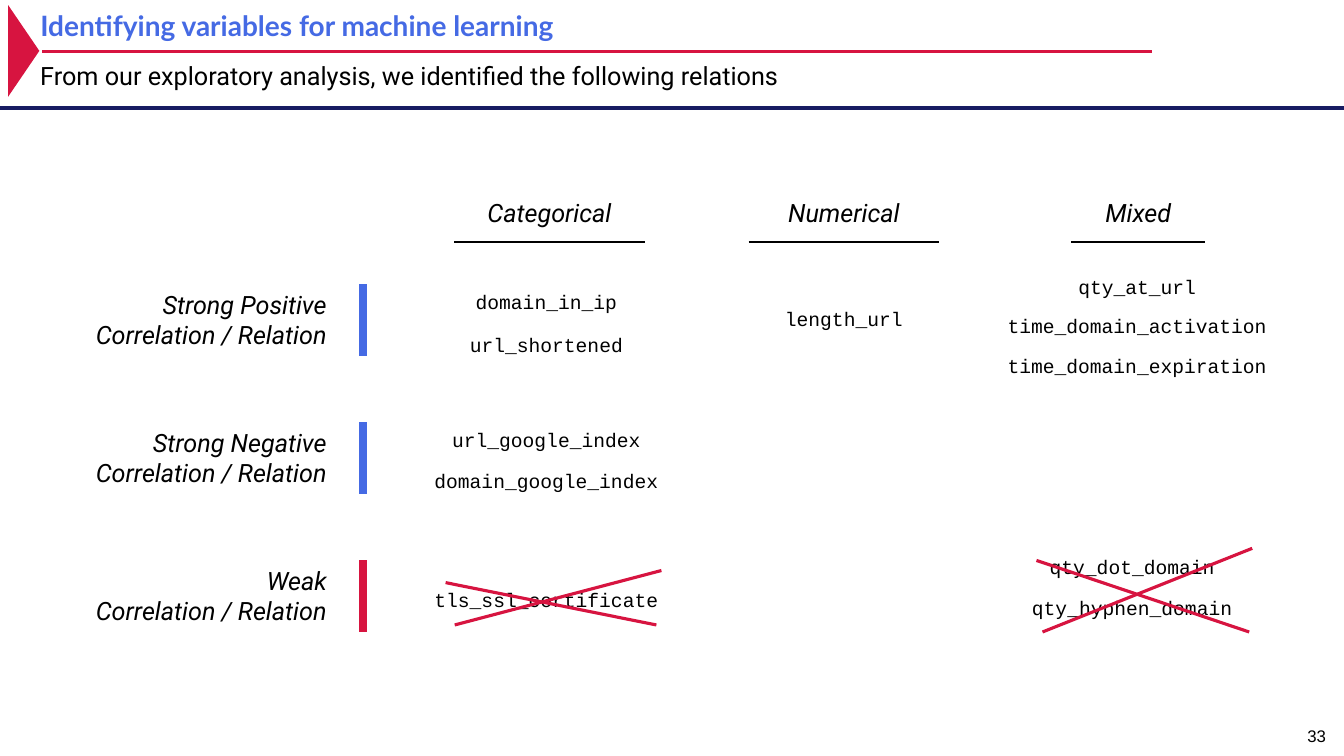
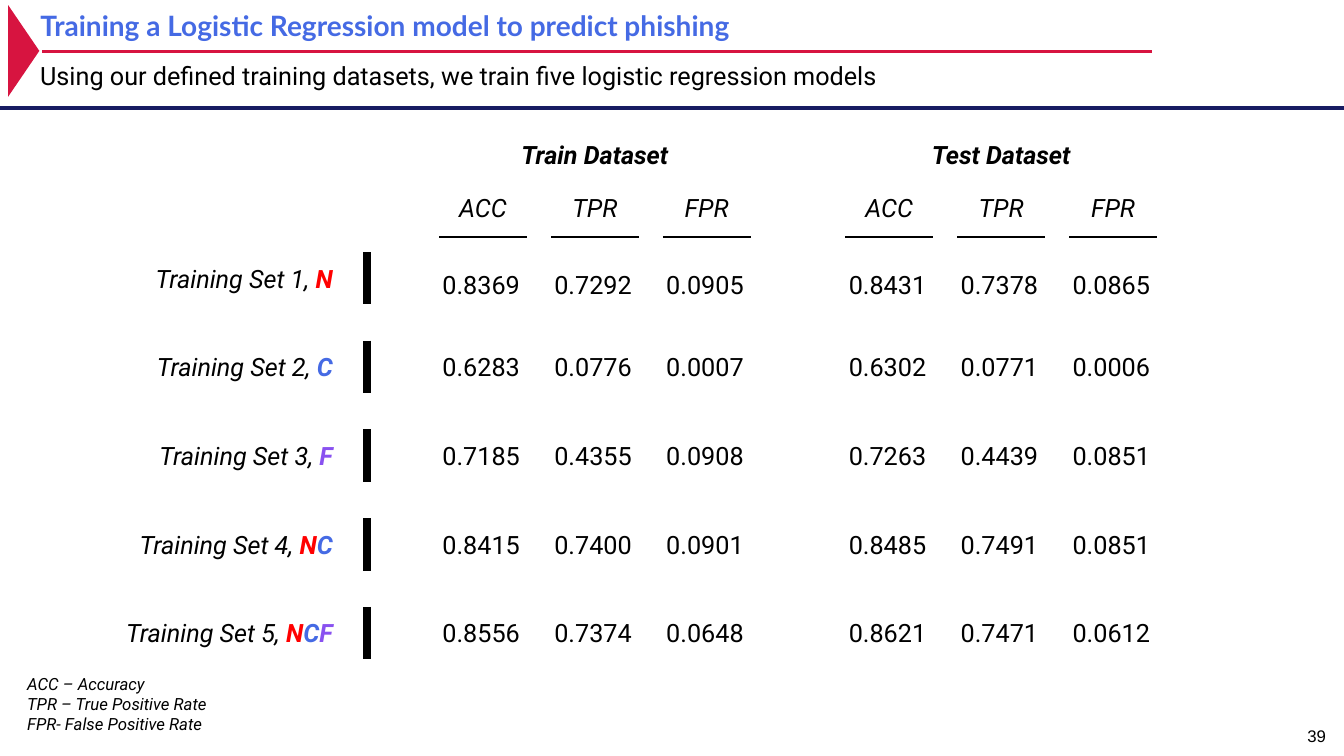
from dataclasses import dataclass

from lxml import etree
from pptx import Presentation
from pptx.dml.color import RGBColor
from pptx.enum.shapes import MSO_CONNECTOR, MSO_SHAPE
from pptx.enum.text import MSO_ANCHOR, MSO_AUTO_SIZE, PP_ALIGN
from pptx.oxml.ns import qn
from pptx.util import Inches, Pt


@dataclass(frozen=True)
class Theme:
    black: str = "000000"
    blue: str = "456AE4"
    crimson: str = "D71440"
    navy: str = "181C62"
    red: str = "FF0000"
    purple: str = "8951F0"
    title_font: str = "Lato"
    body_font: str = "Roboto"
    code_font: str = "Courier New"
    number_font: str = "Arial"
    title_size: int = 20
    body_size: int = 18
    code_size: int = 14
    note_size: int = 12
    bar_width: float = 6
    cross_width: float = 2.25
    rule_width: float = 1.5


THEME = Theme()

# Content: relations between variables and phishing
RELATIONS_TITLE = "Identifying variables for machine learning"
RELATIONS_LEAD = "From our exploratory analysis, we identified the following relations"
KINDS = [  # heading, centre, underline length
    ("Categorical", 5.45, 1.89),
    ("Numerical", 8.37, 1.89),
    ("Mixed", 11.29, 1.33),
]
STRENGTHS = [
    (["Strong Positive Correlation / Relation"], THEME.blue),
    (["Strong Negative Correlation / Relation"], THEME.blue),
    (["Weak", "Correlation / Relation"], THEME.crimson),
]
VARIABLES = [  # centre, top of first name, step, names
    (5.42, 2.83, 0.42, ["domain_in_ip", "url_shortened"]),
    (5.42, 4.2, 0.4, ["url_google_index", "domain_google_index"]),
    (5.42, 5.78, 0.4, ["tls_ssl_certificate"]),
    (8.37, 3, 0.4, ["length_url"]),
    (11.28, 2.68, 0.39,
     ["qty_at_url", "time_domain_activation", "time_domain_expiration"]),
    (11.23, 5.46, 0.4, ["qty_dot_domain", "qty_hyphen_domain"]),
]
CROSS_STROKES = [
    ((4.42, 5.78), (6.51, 6.2)),
    ((4.51, 6.2), (6.56, 5.66)),
    ((10.28, 5.56), (12.39, 6.27)),
    ((10.34, 6.27), (12.42, 5.44)),
]

# Content: results of the models
MODELS_TITLE = "Training a Logistic Regression model to predict phishing"
MODELS_LEAD = ("Using our defined training datasets, "
               "we train five logistic regression models")
METRICS = ["ACC", "TPR", "FPR"]
DATASETS = [("Train Dataset", 5.9), ("Test Dataset", 9.93)]  # heading, centre
FEATURE_COLORS = {"N": THEME.red, "C": THEME.blue, "F": THEME.purple}
RESULTS = [  # features, train values, test values
    ("N", ["0.8369", "0.7292", "0.0905"], ["0.8431", "0.7378", "0.0865"]),
    ("C", ["0.6283", "0.0776", "0.0007"], ["0.6302", "0.0771", "0.0006"]),
    ("F", ["0.7185", "0.4355", "0.0908"], ["0.7263", "0.4439", "0.0851"]),
    ("NC", ["0.8415", "0.7400", "0.0901"], ["0.8485", "0.7491", "0.0851"]),
    ("NCF", ["0.8556", "0.7374", "0.0648"], ["0.8621", "0.7471", "0.0612"]),
]
ABBREVIATIONS = [
    "ACC – Accuracy",
    "TPR – True Positive Rate",
    "FPR- False Positive Rate",
]


def style(paragraph, size, font, color=THEME.black, bold=False, italic=False,
          align=PP_ALIGN.LEFT):
    paragraph.alignment = align
    paragraph.font.size = Pt(size)
    paragraph.font.name = font
    paragraph.font.bold = bold
    paragraph.font.italic = italic
    paragraph.font.color.rgb = RGBColor.from_string(color)


def add_text(slide, lines, left, top, width, height=0.4, size=THEME.body_size,
             font=THEME.body_font, **look):
    """Write one paragraph per line and return the text frame."""
    frame = slide.shapes.add_textbox(
        Inches(left), Inches(top), Inches(width), Inches(height)).text_frame
    frame.word_wrap = True
    for index, line in enumerate(lines):
        paragraph = frame.add_paragraph() if index else frame.paragraphs[0]
        paragraph.text = line
        style(paragraph, size, font, **look)
    return frame


def add_centred(slide, words, centre, top, width=2.2, **look):
    add_text(slide, [words], centre - width / 2, top, width,
             align=PP_ALIGN.CENTER, **look)


def add_line(slide, start, end, color, width):
    line = slide.shapes.add_connector(
        MSO_CONNECTOR.STRAIGHT, *(Inches(value) for value in (*start, *end)))
    line.line.color.rgb = RGBColor.from_string(color)
    line.line.width = Pt(width)
    etree.SubElement(line.element.spPr, qn("a:effectLst"))


def add_underline(slide, centre, y, length):
    add_line(slide, (centre - length / 2, y), (centre + length / 2, y),
             THEME.black, THEME.rule_width)


def add_bar(slide, x, top, height, color):
    add_line(slide, (x, top), (x, top + height), color, THEME.bar_width)


def centre_heading(frame):
    frame.vertical_anchor = MSO_ANCHOR.MIDDLE
    frame.paragraphs[0].line_spacing = 0.9


def start_slide(deck, heading, lead, number):
    """Add a slide with the shared header and page number."""
    slide = deck.slides.add_slide(deck.slide_layouts[5])

    # Marker and rules
    marker = slide.shapes.add_shape(
        MSO_SHAPE.ISOSCELES_TRIANGLE,
        Inches(-0.22), Inches(0.35), Inches(0.91), Inches(0.31))
    marker.rotation = 90
    marker.shadow.inherit = False
    marker.fill.solid()
    marker.fill.fore_color.rgb = RGBColor.from_string(THEME.crimson)
    marker.line.fill.background()
    add_line(slide, (-0.38, 1.07), (13.57, 1.07), THEME.navy, 2.5)
    add_line(slide, (0.42, 0.51), (11.43, 0.51), THEME.crimson, 2)

    # Title and lead sentence
    title = slide.shapes.title
    title.left, title.top = Inches(0.3), Inches(-0.09)
    title.width, title.height = Inches(11.13), Inches(0.72)
    title.text_frame.text = heading
    title.text_frame.word_wrap = True
    title.text_frame.auto_size = MSO_AUTO_SIZE.NONE
    style(title.text_frame.paragraphs[0], THEME.title_size, THEME.title_font,
          THEME.blue, bold=True)
    centre_heading(title.text_frame)
    centre_heading(add_text(slide, [lead], 0.3, 0.41, 11.69, 0.72))

    # Page number
    add_text(slide, [str(number)], 12.75, 7.15, 0.5, 0.3,
             size=THEME.note_size, font=THEME.number_font,
             align=PP_ALIGN.RIGHT)
    return slide


def build_relations(deck):
    slide = start_slide(deck, RELATIONS_TITLE, RELATIONS_LEAD, 33)

    # Column headings
    for kind, centre, length in KINDS:
        add_centred(slide, kind, centre, 1.91, italic=True)
        add_underline(slide, centre, 2.4, length)

    # Row labels
    for row, (label, color) in enumerate(STRENGTHS):
        top = 2.82 + 1.37 * row
        add_text(slide, label, 0.48, top, 2.86, 0.71, italic=True,
                 align=PP_ALIGN.RIGHT)
        add_bar(slide, 3.6, top, 0.71, color)

    # Variable names
    for centre, top, step, names in VARIABLES:
        for index, name in enumerate(names):
            add_centred(slide, name, centre, top + step * index, width=3.6,
                        height=0.34, size=THEME.code_size,
                        font=THEME.code_font)

    # Discarded variables
    for start, end in CROSS_STROKES:
        add_line(slide, start, end, THEME.crimson, THEME.cross_width)


def build_models(deck):
    slide = start_slide(deck, MODELS_TITLE, MODELS_LEAD, 39)
    metric_pitch, row_pitch, first_row = 1.11, 0.88, 2.5

    def metric_centre(dataset_centre, column):
        return dataset_centre + (column - 1) * metric_pitch

    # Dataset and metric headings
    for dataset, dataset_centre in DATASETS:
        add_centred(slide, dataset, dataset_centre, 1.33, bold=True, italic=True)
        for column, metric in enumerate(METRICS):
            centre = metric_centre(dataset_centre, column)
            add_centred(slide, metric, centre, 1.86, width=1.1, italic=True)
            add_underline(slide, centre, 2.35, 0.87)

    # One row per training set
    for row, (features, *scores) in enumerate(RESULTS):
        top = first_row + row_pitch * row
        add_bar(slide, 3.64, top, 0.52, THEME.black)
        label = add_text(slide, [f"Training Set {row + 1}, "], 0.54,
                         top + 0.06, 2.86, italic=True, align=PP_ALIGN.RIGHT)
        for feature in features:
            letter = label.paragraphs[0].add_run()
            letter.text = feature
            letter.font.bold = True
            letter.font.color.rgb = RGBColor.from_string(FEATURE_COLORS[feature])

        # The first row of values sits a little below its label
        value_top = top + (0.06 if row else 0.12)
        for (_, dataset_centre), values in zip(DATASETS, scores):
            for column, value in enumerate(values):
                left = metric_centre(dataset_centre, column) - 0.5
                add_text(slide, [value], left, value_top, 1)

    # Abbreviations
    add_text(slide, ABBREVIATIONS, 0.17, 6.63, 6.55, 0.71,
             size=THEME.note_size, italic=True)


def main():
    deck = Presentation()
    deck.slide_width, deck.slide_height = Inches(13.33), Inches(7.5)
    build_relations(deck)
    build_models(deck)
    deck.save("out.pptx")


if __name__ == "__main__":
    main()
